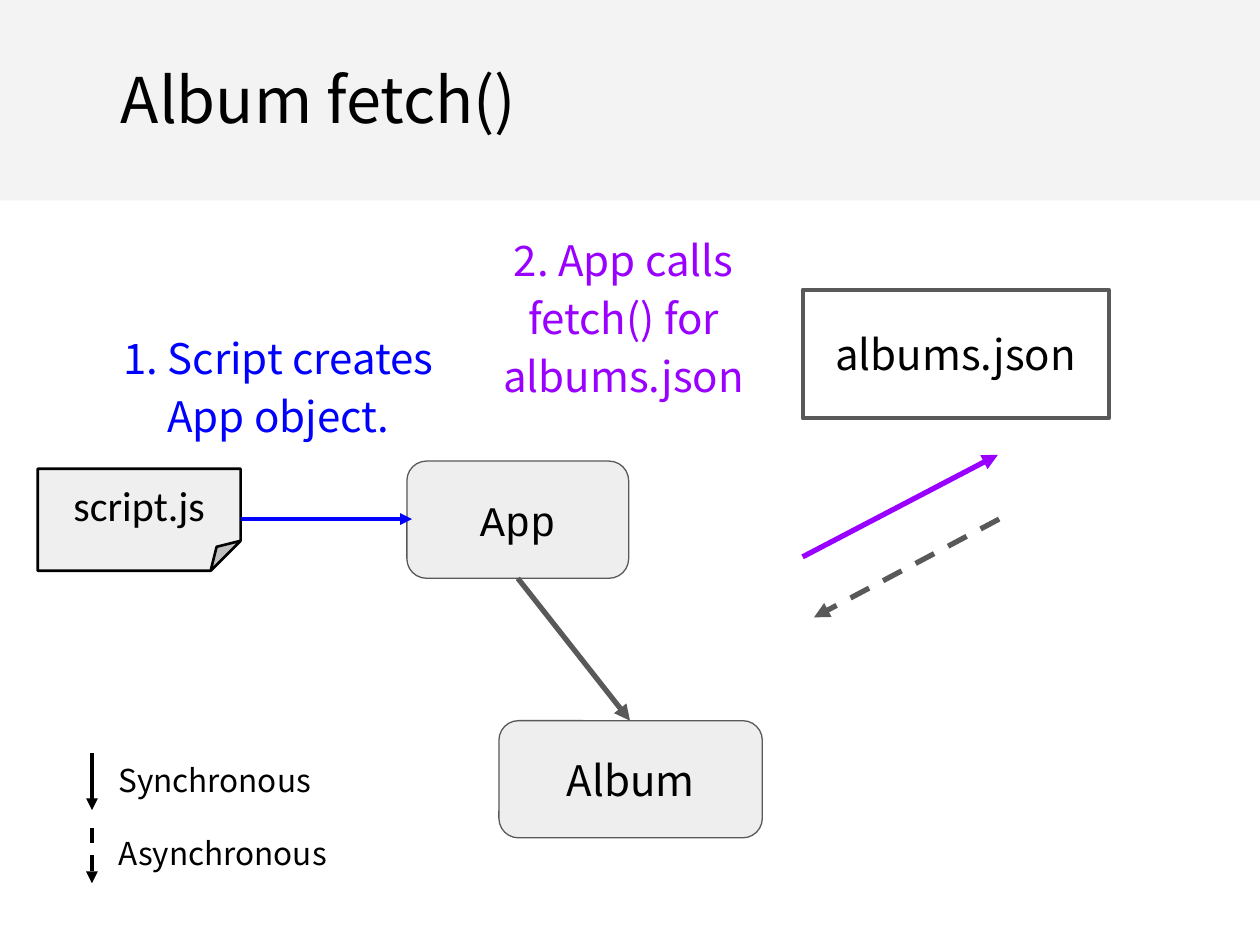
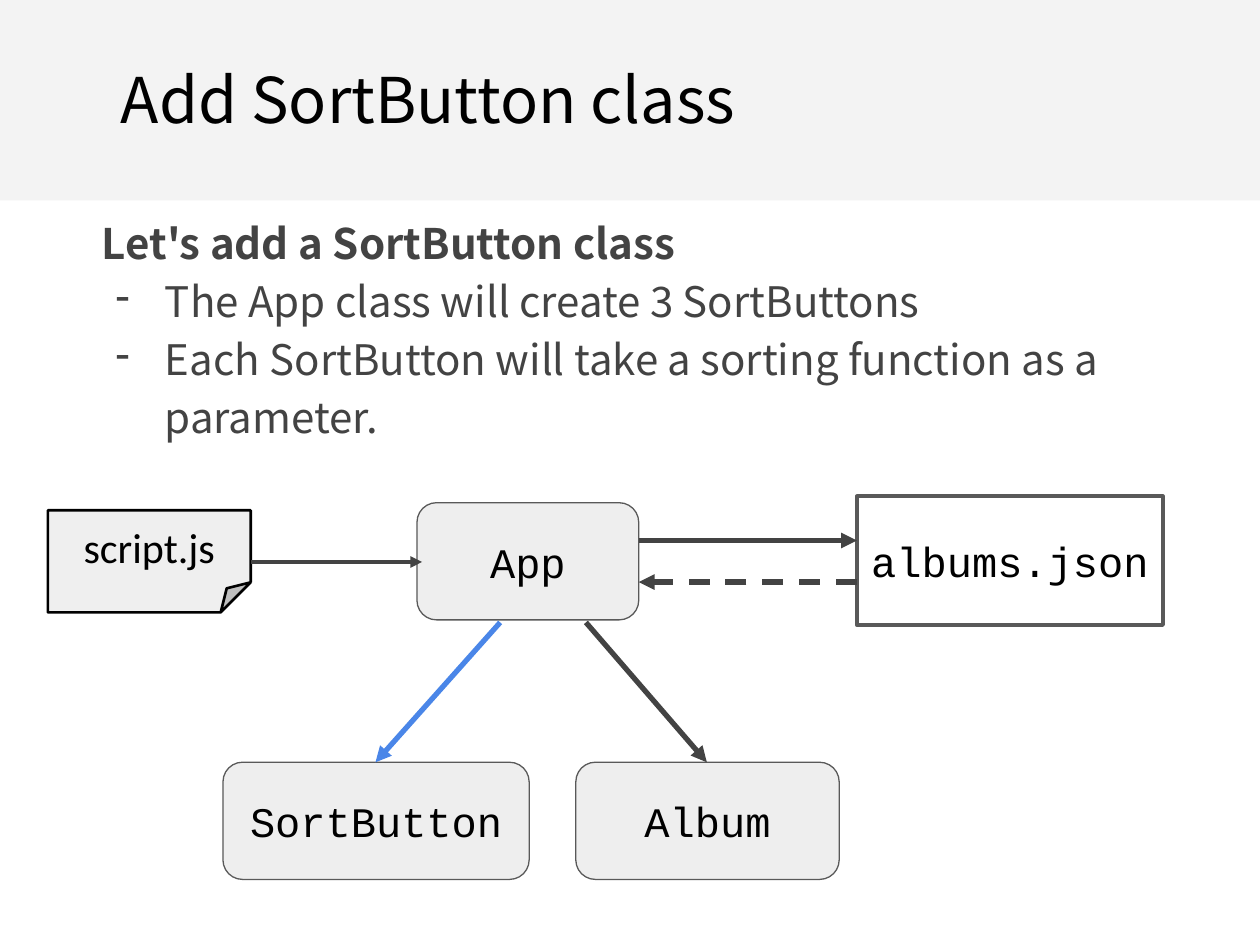
"""Build two slides that show how the Album app's classes call each other."""
from lxml.etree import SubElement
from pptx import Presentation
from pptx.dml.color import RGBColor
from pptx.enum.dml import MSO_LINE as Dash
from pptx.enum.shapes import MSO_CONNECTOR as Connector, MSO_SHAPE as Shape
from pptx.enum.text import MSO_ANCHOR as Anchor, PP_ALIGN as Align
from pptx.oxml.ns import qn
from pptx.util import Inches, Pt

SANS, MONO, CALIBRI = "Noto Sans CJK SC", "Courier New", "Calibri"
BLACK, DARK, GRAY = "000000", "434343", "595959"
BLUE, PURPLE, SKY = "0000FF", "9900FF", "4A86E8"
BAND = "F3F3F3"


def color(code):
    return RGBColor.from_string(code)


def write(box, text, font=SANS, size=24, ink=BLACK, bold=False, align=Align.LEFT,
          anchor=Anchor.TOP, spacing=None, bullet=None):
    frame = box.text_frame
    frame.word_wrap = True
    frame.vertical_anchor = anchor
    frame.margin_left = frame.margin_right = Inches(0.1)
    frame.margin_top = frame.margin_bottom = Inches(0.1)
    para = frame.add_paragraph() if frame.text else frame.paragraphs[0]
    para.alignment = align
    if spacing:
        para.line_spacing = spacing
    if bullet:
        props = para._p.get_or_add_pPr()
        props.set("marL", str(Inches(0.5)))
        props.set("indent", str(Inches(-0.39)))
        SubElement(SubElement(props, qn("a:buClr")), qn("a:srgbClr"), val=ink)
        SubElement(props, qn("a:buChar"), char=bullet)
    span = para.add_run()
    span.text = text
    span.font.name = font
    span.font.size = Pt(size)
    span.font.bold = bold
    span.font.color.rgb = color(ink)


deck = Presentation()
deck.slide_width, deck.slide_height = Inches(10), Inches(7.5)

looks = {
    "class": (Shape.ROUNDED_RECTANGLE, "EEEEEE", GRAY, 0.75, 0.93),
    "data": (Shape.RECTANGLE, None, GRAY, 2.25, 1.02),
    "script": (Shape.FOLDED_CORNER, "EFEFEF", BLACK, 1.5, 0.81),
}

slides = [
    {
        "title": "Album fetch()",
        "nodes": [
            ("class", "App", MONO, 3.23, 3.66, 1.76),
            ("class", "Album", SANS, 3.96, 5.72, 2.09),
            ("data", "albums.json", SANS, 6.37, 2.3, 2.43),
            ("script", "script.js", CALIBRI, 0.3, 3.72, 1.61),
        ],
        "arrows": [
            (6.37, 4.42, 7.92, 3.61, PURPLE, 3, False),
            (1.91, 4.12, 3.27, 4.12, BLUE, 2.25, False),
            (7.93, 4.12, 6.46, 4.9, GRAY, 3, True),
            (4.11, 4.59, 5, 5.72, GRAY, 3, False),
            (0.73, 5.98, 0.73, 6.43, BLACK, 2.25, False),
            (0.73, 6.57, 0.73, 7.01, BLACK, 2.25, True),
        ],
        "notes": [
            (0.73, 2.48, 2.96, 0.83, [("1. Script creates App object.",
             dict(ink=BLUE, align=Align.CENTER, spacing=1.15))]),
            (3.47, 1.7, 2.96, 1.5, [("2. App calls fetch() for albums.json",
             dict(ink=PURPLE, align=Align.CENTER, spacing=1.15))]),
            (0.84, 5.94, 2.22, 0.37, [("Synchronous", dict(size=18))]),
            (0.84, 6.52, 2.22, 0.37, [("Asynchronous", dict(size=18))]),
        ],
    },
    {
        "title": "Add SortButton class",
        "nodes": [
            ("class", "App", MONO, 3.31, 3.99, 1.76),
            ("class", "Album", MONO, 4.57, 6.05, 2.09),
            ("data", "albums.json", MONO, 6.8, 3.94, 2.43),
            ("script", "script.js", CALIBRI, 0.38, 4.05, 1.61),
            ("class", "SortButton", MONO, 1.77, 6.05, 2.43),
        ],
        "arrows": [
            (5.07, 4.29, 6.8, 4.29, DARK, 3, False),
            (1.99, 4.46, 3.35, 4.46, DARK, 2.25, False),
            (4.65, 4.94, 5.61, 6.05, DARK, 3, False),
            (6.8, 4.62, 5.07, 4.62, DARK, 3, True),
            (3.97, 4.94, 2.98, 6.05, SKY, 3, False),
        ],
        "notes": [
            (0.71, 1.57, 8.35, 2.79, [
                ("Let's add a SortButton class", dict(ink=DARK, bold=True, spacing=1.15)),
                ("The App class will create 3 SortButtons",
                 dict(ink=DARK, spacing=1.15, bullet="-")),
                ("Each SortButton will take a sorting function as a parameter.",
                 dict(ink=DARK, spacing=1.15, bullet="-")),
            ]),
        ],
    },
]

for content in slides:
    page = deck.slides.add_slide(deck.slide_layouts[6])
    band = page.shapes.add_shape(Shape.RECTANGLE, 0, 0, deck.slide_width, Inches(1.59))
    band.shadow.inherit = False
    band.fill.solid()
    band.fill.fore_color.rgb = color(BAND)
    band.line.fill.background()
    title = page.shapes.add_textbox(Inches(0.86), Inches(0.38), Inches(8.29), Inches(0.83))
    write(title, content["title"], size=36)

    for look, name, font, left, top, width in content["nodes"]:
        outline, fill, edge, weight, height = looks[look]
        node = page.shapes.add_shape(
            outline, Inches(left), Inches(top), Inches(width), Inches(height))
        node.shadow.inherit = False
        if look == "script":
            guides = node._element.spPr.find(qn("a:prstGeom")).find(qn("a:avLst"))
            SubElement(guides, qn("a:gd"), name="adj", fmla="val 29400")
        if fill:
            node.fill.solid()
            node.fill.fore_color.rgb = color(fill)
        else:
            node.fill.background()
        node.line.color.rgb = color(edge)
        node.line.width = Pt(weight)
        write(node, name, font=font, align=Align.CENTER, anchor=Anchor.MIDDLE)

    for x1, y1, x2, y2, ink, weight, asynchronous in content["arrows"]:
        arrow = page.shapes.add_connector(
            Connector.STRAIGHT, Inches(x1), Inches(y1), Inches(x2), Inches(y2))
        arrow.line.color.rgb = color(ink)
        arrow.line.width = Pt(weight)
        if asynchronous:
            arrow.line.dash_style = Dash.DASH
        props = arrow._element.spPr
        SubElement(props.find(qn("a:ln")), qn("a:tailEnd"), type="triangle")
        SubElement(props, qn("a:effectLst"))

    for left, top, width, height, lines in content["notes"]:
        note = page.shapes.add_textbox(
            Inches(left), Inches(top), Inches(width), Inches(height))
        for text, style in lines:
            write(note, text, **style)

deck.save("out.pptx")
